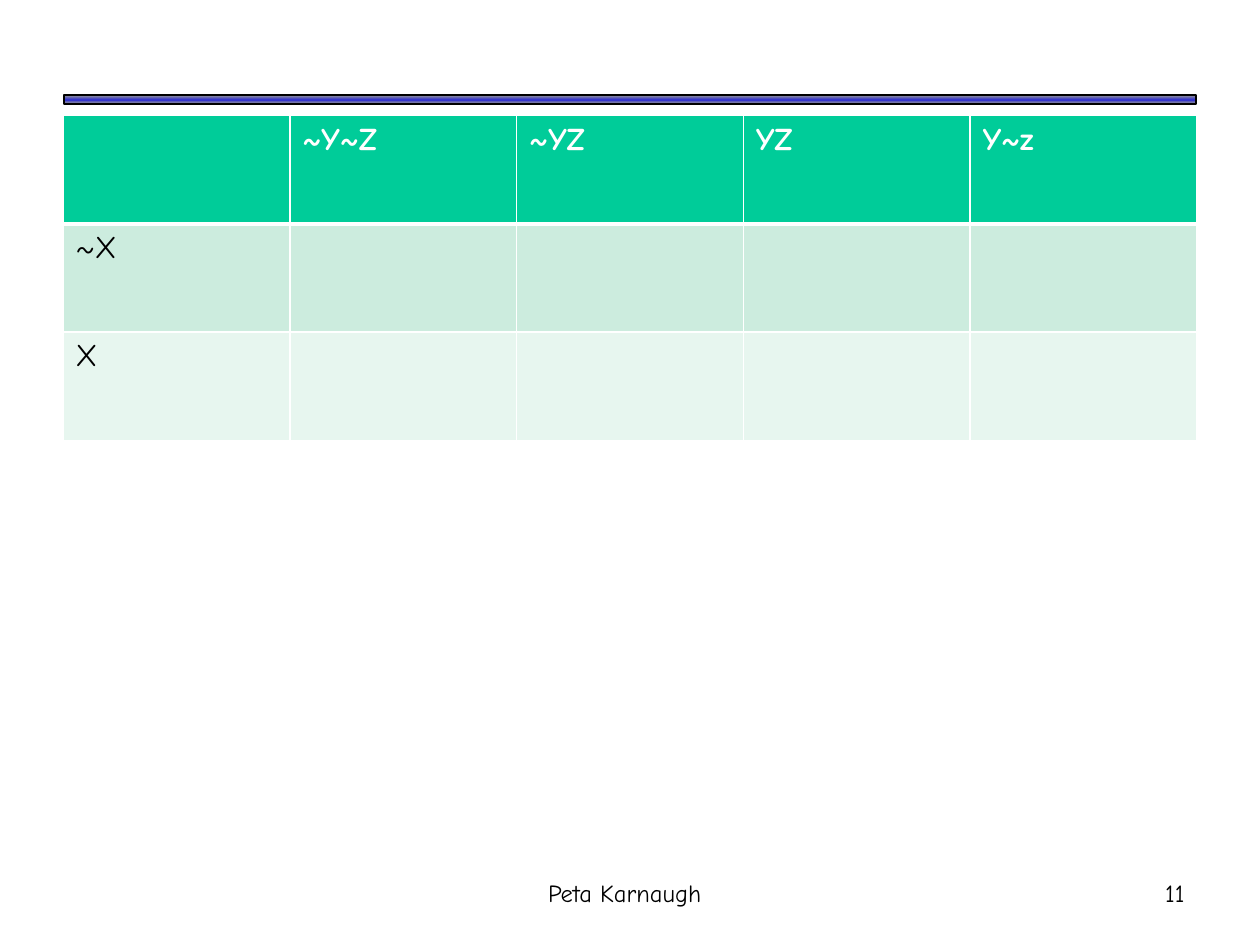
from copy import deepcopy

from lxml.etree import SubElement
from pptx import Presentation
from pptx.dml.color import RGBColor
from pptx.enum.shapes import MSO_SHAPE
from pptx.enum.text import MSO_ANCHOR, PP_ALIGN
from pptx.oxml.ns import qn
from pptx.util import Pt

FONT = "Comic Neue"
BLACK = RGBColor(0x00, 0x00, 0x00)
WHITE = RGBColor(0xFF, 0xFF, 0xFF)
GREY = RGBColor(0x96, 0x96, 0x96)
BLUE = RGBColor(0x33, 0x33, 0xCC)
GREEN = RGBColor(0x00, 0xCC, 0x99)
MINT = RGBColor(0xCC, 0xEC, 0xDE)
PALE_MINT = RGBColor(0xE7, 0xF6, 0xEF)


def set_font(paragraph, size, color, bold=False):
    font = paragraph.font
    font.name, font.size, font.bold = FONT, Pt(size), bold
    font.color.rgb = color


def add_border(cell, side, width):
    line = SubElement(cell._tc.get_or_add_tcPr(), qn(f"a:ln{side}"), w=str(Pt(width)))
    fill = SubElement(line, qn("a:solidFill"))
    SubElement(fill, qn("a:srgbClr"), val=str(WHITE))


deck = Presentation()
deck.slide_width, deck.slide_height = Pt(720), Pt(540)
page = deck.slides.add_slide(deck.slide_layouts[6])

# Rule across the top, shaded grey to blue to grey
rule = page.shapes.add_shape(MSO_SHAPE.RECTANGLE, Pt(36.5), Pt(54.5), Pt(647), Pt(5))
rule.shadow.inherit = False
rule.line.color.rgb = BLACK
rule.line.width = Pt(1)
rule.fill.gradient()
rule.fill.gradient_angle = 90
stop_list = rule.fill._fill._gradFill.find(qn("a:gsLst"))
stop_list.append(deepcopy(stop_list[-1]))
for stop, position, color in zip(rule.fill.gradient_stops, (0, 0.5, 1), (GREY, BLUE, GREY)):
    stop.position = position
    stop.color.rgb = color

# Karnaugh map
rows = [
    (["", "~Y~Z", "~YZ", "YZ", "Y~z"], GREEN, WHITE),
    (["~X", "", "", "", ""], MINT, BLACK),
    (["X", "", "", "", ""], PALE_MINT, BLACK),
]
table = page.shapes.add_table(3, 5, Pt(36), Pt(66), Pt(648), Pt(185.76)).table
for row_index, (labels, fill_color, text_color) in enumerate(rows):
    is_header = row_index == 0
    for column_index, label in enumerate(labels):
        cell = table.cell(row_index, column_index)
        for side in "LRTB":
            under_header = (is_header and side == "B") or (row_index == 1 and side == "T")
            add_border(cell, side, 3 if under_header else 1)
        cell.fill.solid()
        cell.fill.fore_color.rgb = fill_color
        cell.text = label
        set_font(cell.text_frame.paragraphs[0], 18, text_color, bold=is_header)

# Footer and page number
footers = [
    ("Peta Karnaugh", 216, 282, PP_ALIGN.CENTER),
    ("11", 534, 150, PP_ALIGN.RIGHT),
]
for text, left, width, alignment in footers:
    box = page.shapes.add_textbox(Pt(left), Pt(492), Pt(width), Pt(36))
    frame = box.text_frame
    frame.word_wrap = True
    frame.vertical_anchor = MSO_ANCHOR.MIDDLE
    frame.text = text
    para = frame.paragraphs[0]
    para.alignment = alignment
    set_font(para, 14, BLACK)

deck.save("out.pptx")
